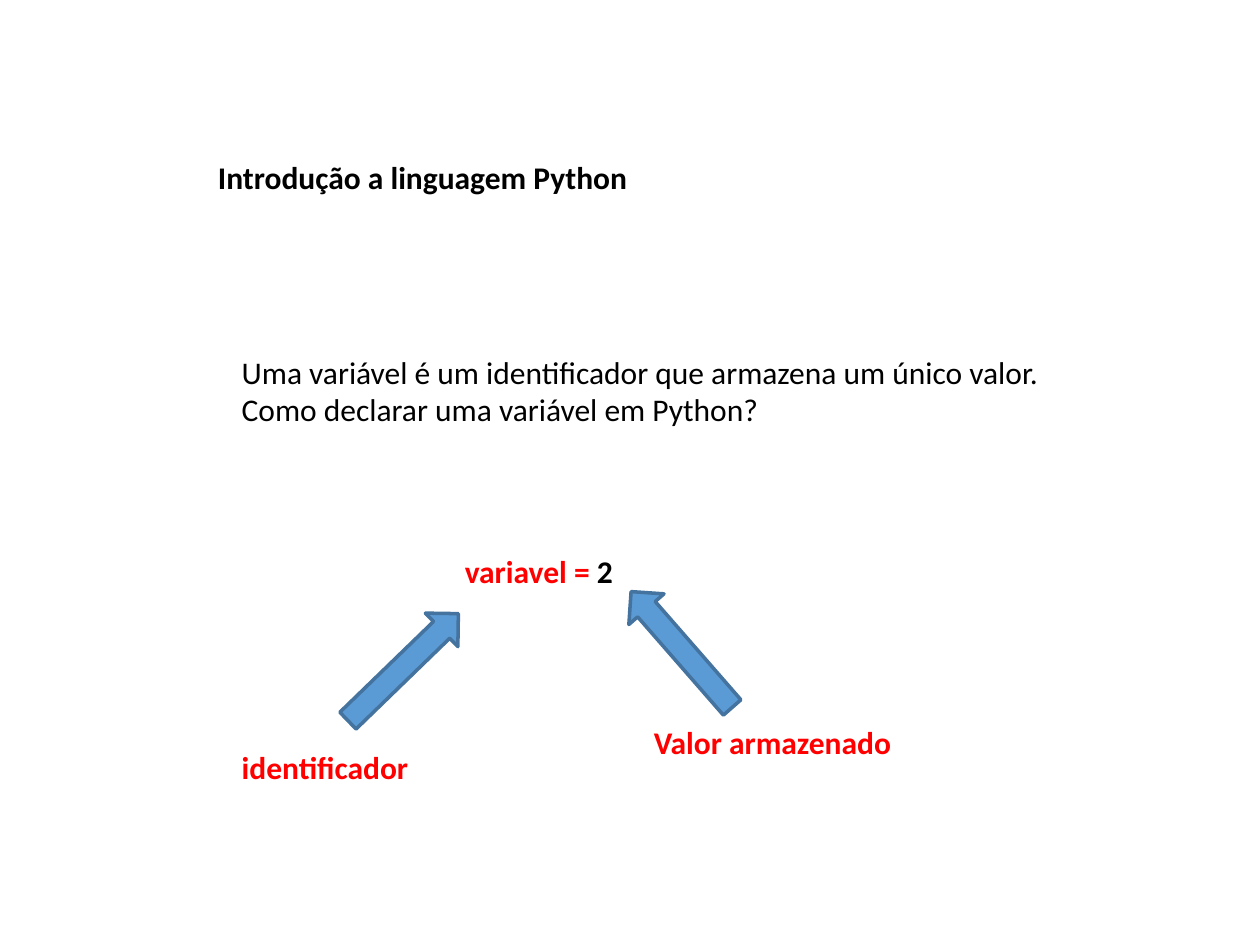
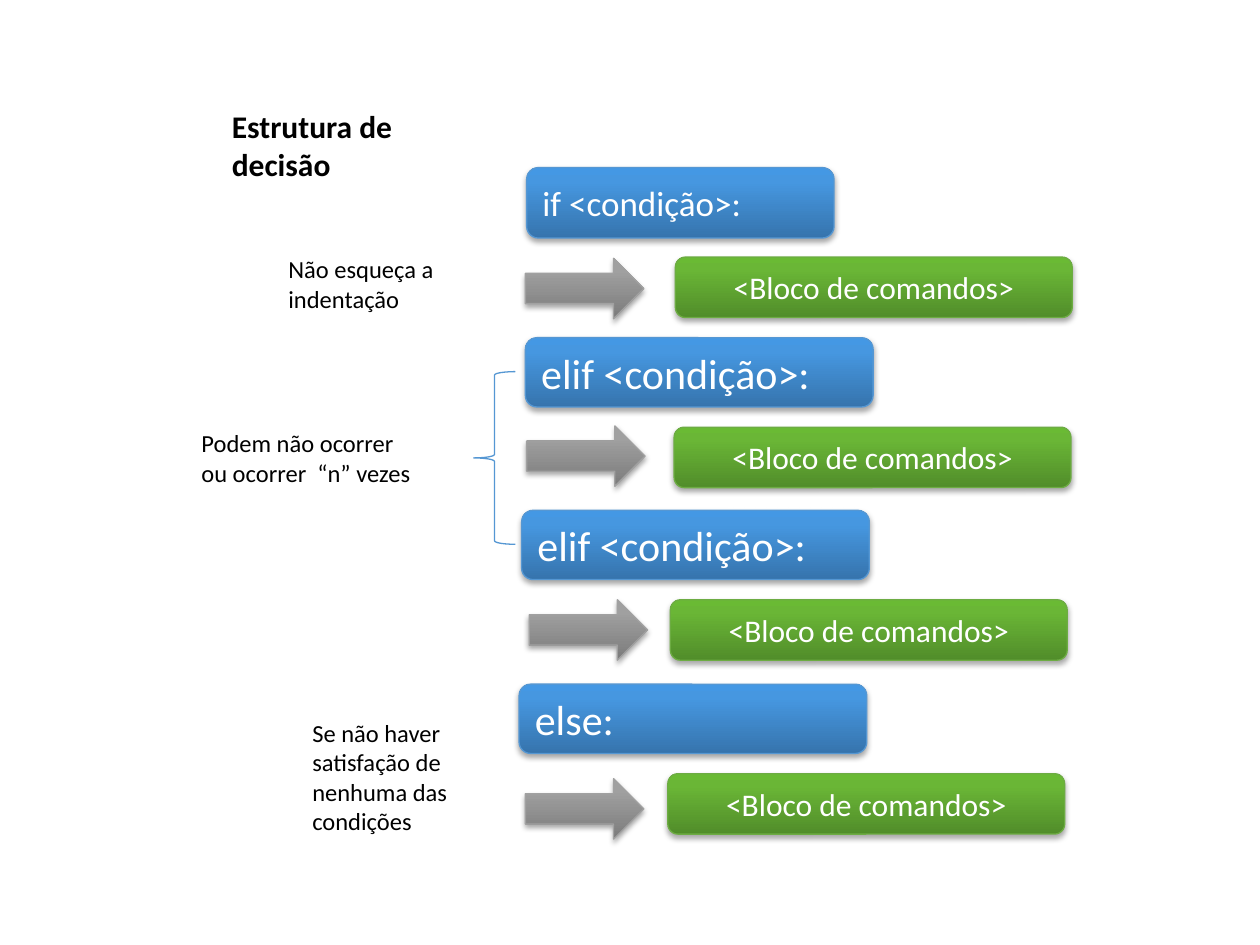
from copy import deepcopy

from lxml import etree
from pptx import Presentation
from pptx.dml.color import RGBColor
from pptx.enum.shapes import MSO_SHAPE
from pptx.enum.text import MSO_ANCHOR, MSO_AUTO_SIZE, PP_ALIGN
from pptx.oxml.ns import qn
from pptx.util import Inches, Pt

ROUND = MSO_SHAPE.ROUNDED_RECTANGLE
ARROW = MSO_SHAPE.RIGHT_ARROW
BRACE = MSO_SHAPE.LEFT_BRACE
TOP, MIDDLE = MSO_ANCHOR.TOP, MSO_ANCHOR.MIDDLE
LEFT, CENTER = PP_ALIGN.LEFT, PP_ALIGN.CENTER
FIXED = MSO_AUTO_SIZE.NONE

BLACK = RGBColor(0x00, 0x00, 0x00)
WHITE = RGBColor(0xFF, 0xFF, 0xFF)
RED = RGBColor(0xFF, 0x00, 0x00)
SKY = RGBColor(0x5B, 0x9B, 0xD5)
NAVY = RGBColor(0x43, 0x73, 0x9E)
BLUE_EDGE = RGBColor(0x55, 0x97, 0xD3)
GREEN_EDGE = RGBColor(0x6D, 0xAC, 0x43)
GRAY_EDGE = RGBColor(0xA1, 0xA1, 0xA1)
BLUES = (RGBColor(0x36, 0x74, 0xAD), RGBColor(0x46, 0x97, 0xE0), RGBColor(0x44, 0x98, 0xE4))
GREENS = (RGBColor(0x51, 0x8D, 0x2A), RGBColor(0x6A, 0xB6, 0x36), RGBColor(0x6A, 0xBA, 0x34))
GRAYS = (RGBColor(0x7B, 0x7B, 0x7B), RGBColor(0xA0, 0xA0, 0xA0), GRAY_EDGE)
STOPS = (0, 0.8, 1)

COLS, ROWS = 100, 75
FONT = "Calibri"


class Deck:
    def __init__(self):
        self.file = Presentation()
        self.file.slide_width = Inches(10)
        self.file.slide_height = Inches(7.5)
        self.col = self.file.slide_width / COLS
        self.row = self.file.slide_height / ROWS
        self.slide = None

    def area(self, left, top, width, height):
        return (round(left * self.col), round(top * self.row),
                round(width * self.col), round(height * self.row))

    def style(self, run, size, color, bold=False):
        font = run.font
        font.name, font.size, font.bold = FONT, Pt(size), bold
        font.color.rgb = color

    def fill_text(self, frame, text, size=18, color=BLACK, bold=False,
                  align=LEFT, anchor=TOP, wrap=True):
        frame.text = text
        frame.auto_size = FIXED
        frame.word_wrap = wrap
        frame.vertical_anchor = anchor
        for para in frame.paragraphs:
            para.alignment = align
            for run in para.runs:
                self.style(run, size, color, bold)

    def page(self, title, *place):
        self.slide = self.file.slides.add_slide(self.file.slide_layouts[5])
        head = self.slide.shapes.title
        head.left, head.top, head.width, head.height = self.area(*place)
        self.fill_text(head.text_frame, title, bold=True, wrap=False)

    def label(self, text, place, **look):
        box = self.slide.shapes.add_textbox(*self.area(*place))
        self.fill_text(box.text_frame, text, **look)
        return box.text_frame

    def shape(self, kind, place, edge, weight=0.75, fill=None, turn=0):
        item = self.slide.shapes.add_shape(kind, *self.area(*place))
        item.rotation = turn
        item.shadow.inherit = False
        item.line.color.rgb = edge
        item.line.width = Pt(weight)
        if fill is None:
            item.fill.background()
        else:
            item.fill.solid()
            item.fill.fore_color.rgb = fill
        return item

    def gloss(self, kind, place, edge, tones):
        item = self.shape(kind, place, edge)
        item.fill.gradient()
        item.fill.gradient_angle = 90
        props = item._element.spPr
        marks = props.find(".//" + qn("a:gsLst"))
        marks.append(deepcopy(marks[-1]))
        for stop, spot, tone in zip(item.fill.gradient_stops, STOPS, tones):
            stop.position = spot
            stop.color.rgb = tone
        glow = etree.SubElement(props.find(qn("a:effectLst")), qn("a:outerShdw"),
                                blurRad="40000", dist="23000", dir="5400000", rotWithShape="0")
        shade = etree.SubElement(glow, qn("a:srgbClr"), val=str(BLACK))
        etree.SubElement(shade, qn("a:alpha"), val="35000")
        return item

    def card(self, text, place, edge, tones, size=18, align=LEFT):
        item = self.gloss(ROUND, place, edge, tones)
        self.fill_text(item.text_frame, text, size, WHITE, align=align, anchor=MIDDLE)


def intro(deck):
    deck.page("Introdução a linguagem Python", 16.3, 12, 34.5, 7)
    deck.label("Uma variável é um identificador que armazena um único valor.\n"
               "Como declarar uma variável em Python?", (18.2, 27.5, 65.3, 7), wrap=False)
    red = {"color": RED, "bold": True, "wrap": False}
    code = deck.label("variavel = ", (35.9, 43.3, 13.8, 4), **red)
    value = code.paragraphs[0].add_run()
    value.text = "2"
    deck.style(value, 18, BLACK, True)
    deck.label("identificador", (18.2, 58.9, 15.8, 4), **red)
    deck.label("Valor armazenado", (50.9, 56.9, 20.8, 4), **red)
    for left, top, turn in ((25.9, 51.1, 315.9), (48, 49.7, 228.9)):
        deck.shape(ARROW, (left, top, 12.2, 3.7), NAVY, 2, SKY, turn)


def choice(deck):
    deck.page("Estrutura de decisão", 17.4, 8, 23.1, 7)
    steps = (
        ("if <condição>:", 20, (41.8, 13.3, 24.4, 5.6), (41.7, 20.5)),
        ("elif <condição>:", 24, (41.7, 26.8, 27.6, 5.5), (41.8, 33.8)),
        ("elif <condição>:", 24, (41.4, 40.5, 27.6, 5.5), (42, 47.6)),
        ("else:", 24, (41.2, 54.3, 27.6, 5.5), (41.7, 61.8)),
    )
    for text, size, place, tip in steps:
        left, top = place[:2]
        deck.card(text, place, BLUE_EDGE, BLUES, size)
        deck.card("<Bloco de comandos>", (left + 11.8, top + 7.1, 31.5, 4.8),
                  GREEN_EDGE, GREENS, align=CENTER)
        deck.gloss(ARROW, (*tip, 9.4, 4.8), GRAY_EDGE, GRAYS)
    deck.shape(BRACE, (37.6, 29.5, 3.3, 13.7), BLUE_EDGE)
    notes = (
        ("Não esqueça a indentação", (21.9, 19.7, 18.3, 5.6)),
        ("Podem não ocorrer ou ocorrer  “n” vezes", (15, 33.5, 19.5, 5.6)),
        ("Se não haver satisfação de nenhuma das condições", (23.8, 56.5, 14.5, 10.3)),
    )
    for text, place in notes:
        deck.label(text, place, size=14)


def main():
    deck = Deck()
    intro(deck)
    choice(deck)
    deck.file.save("out.pptx")


if __name__ == "__main__":
    main()
